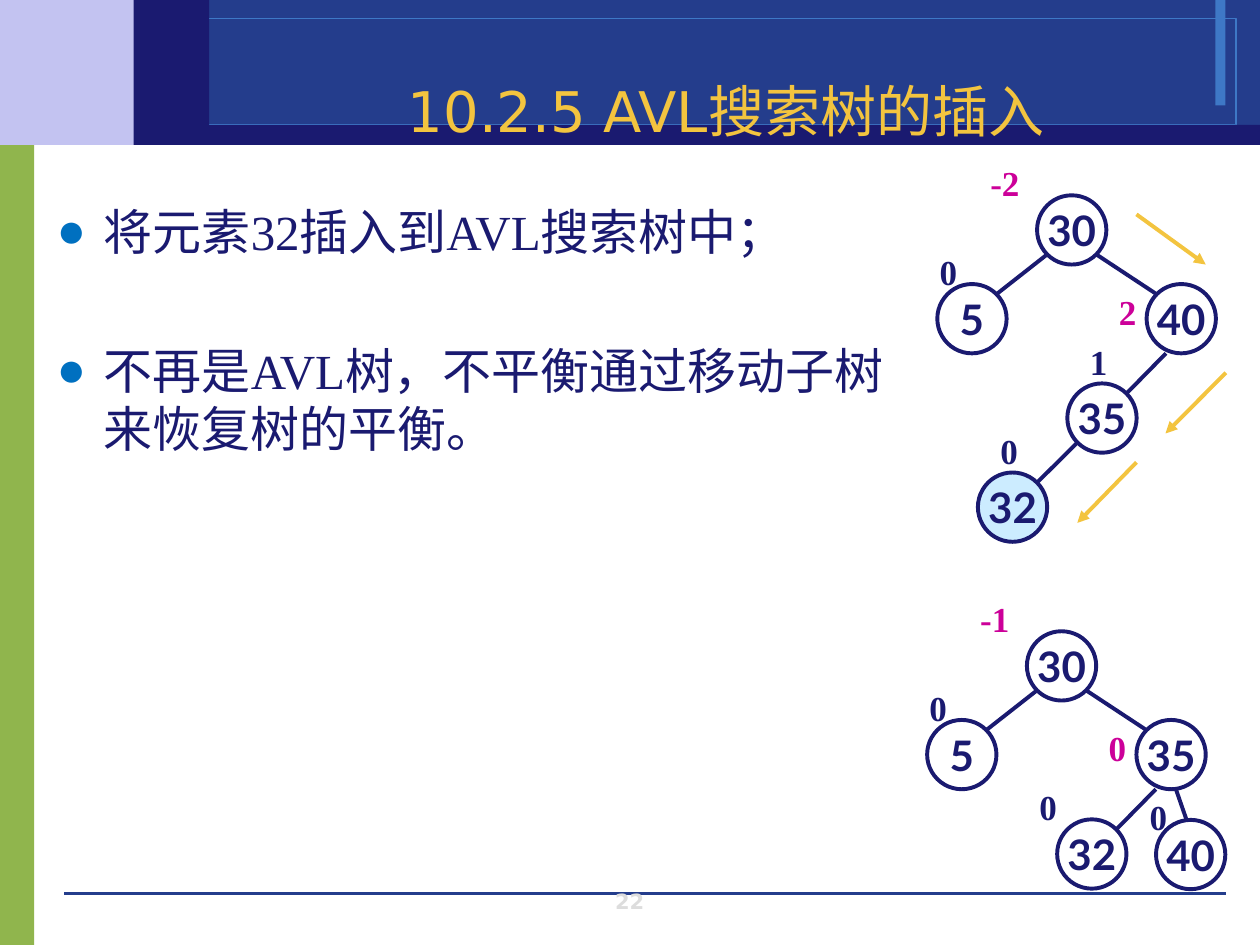
from lxml import etree
from pptx import Presentation
from pptx.dml.color import RGBColor
from pptx.enum.shapes import MSO_CONNECTOR, MSO_SHAPE
from pptx.enum.text import MSO_ANCHOR, MSO_AUTO_SIZE, PP_ALIGN
from pptx.oxml.ns import qn
from pptx.util import Pt

RECTANGLE, OVAL = MSO_SHAPE.RECTANGLE, MSO_SHAPE.OVAL
STRAIGHT = MSO_CONNECTOR.STRAIGHT
LEFT, CENTER = PP_ALIGN.LEFT, PP_ALIGN.CENTER
TOP, MIDDLE, BOTTOM = MSO_ANCHOR.TOP, MSO_ANCHOR.MIDDLE, MSO_ANCHOR.BOTTOM
NO_AUTOFIT = MSO_AUTO_SIZE.NONE


class Theme:
    navy, blue, sky = "1A1A70", "243D8C", "3E78C6"
    lilac, green, gold = "C3C3F1", "90B54D", "F3C43F"
    bullet, magenta, inserted, number = "0070C0", "CC0099", "CCECFF", "DDDDDD"
    sans, serif, node_font = "DejaVu Sans", "Times New Roman", "Lato"
    title_size, body_size, node_size, label_size, number_size = 32, 28, 24, 20, 12
    stroke, hairline = 2.25, 0


# Content
TITLE = "10.2.5 AVL搜索树的插入"
BULLETS = ["将元素32插入到AVL搜索树中；", "不再是AVL树，不平衡通过移动子树来恢复树的平衡。"]
SLIDE_NUMBER = "22"

# Background blocks: left, top, width, height, fill, line
BLOCKS = [
    (0, 77, 19.5, 463, Theme.green, None),
    (0, 0, 110, 82.8, Theme.lilac, None),
    (110, 0, 610, 82.8, Theme.blue, None),
    (694.5, 0, 5.8, 60.2, Theme.sky, None),
    (86, 10.5, 620.3, 61, None, Theme.sky),
    (93.6, 71.4, 626.4, 11.5, Theme.navy, None),
    (76.4, 0, 43.2, 82.8, Theme.navy, None),
]

# Points on a node circle, as fractions of its diameter
UPPER_LEFT, UPPER_RIGHT = (0.15, 0.15), (0.85, 0.15)
LOWER_LEFT, LOWER_RIGHT = (0.15, 0.85), (0.85, 0.85)
BASE_LEFT, BASE_RIGHT, CROWN = (0.28, 1), (0.57, 1), (0.44, 0)

NODE_DIAMETER = 39.6
LABEL_HEIGHT = 31
LEFT_CHILD, RIGHT_CHILD, GRANDCHILD = (-57, 50.7), (62.6, 50.7), (17.3, 107.5)
ABOVE_ROOT, ABOVE_LEAF, BESIDE, ABOVE_RIGHT = (-33.8, -23), (-5.8, -22.5), (-23, 0), (5.8, -28.2)

# Nodes: key, offset from root, balance factor, label offset from node, label colour, fill
# Edges: parent, point on parent, child, point on child
TREES = [
    {
        "root": (592.6, 111.6),
        "nodes": [
            ("30", (0, 0), "-2", ABOVE_ROOT, Theme.magenta, None),
            ("5", LEFT_CHILD, "0", ABOVE_LEAF, Theme.navy, None),
            ("40", RIGHT_CHILD, "2", BESIDE, Theme.magenta, None),
            ("35", GRANDCHILD, "1", ABOVE_RIGHT, Theme.navy, None),
            ("32", (-33.8, 158.4), "0", ABOVE_RIGHT, Theme.navy, Theme.inserted),
        ],
        "edges": [
            ("30", LOWER_LEFT, "5", UPPER_RIGHT),
            ("30", LOWER_RIGHT, "40", UPPER_LEFT),
            ("40", BASE_LEFT, "35", UPPER_RIGHT),
            ("35", LOWER_LEFT, "32", UPPER_RIGHT),
        ],
    },
    {
        "root": (586.8, 360.7),
        "nodes": [
            ("30", (0, 0), "-1", ABOVE_ROOT, Theme.magenta, None),
            ("5", LEFT_CHILD, "0", ABOVE_LEAF, Theme.navy, None),
            ("35", RIGHT_CHILD, "0", BESIDE, Theme.magenta, None),
            ("32", GRANDCHILD, "0", (-17.3, -23), Theme.navy, None),
            ("40", (73.8, 107.8), "0", (-10.8, -17.3), Theme.navy, None),
        ],
        "edges": [
            ("30", LOWER_LEFT, "5", UPPER_RIGHT),
            ("30", LOWER_RIGHT, "35", UPPER_LEFT),
            ("35", BASE_LEFT, "32", UPPER_RIGHT),
            ("35", BASE_RIGHT, "40", CROWN),
        ],
    },
]

# Arrows that follow the insertion path: start, end
PATH_ARROWS = [
    ((649.4, 122.5), (689, 151.2)),
    ((700.5, 213), (666, 247.7)),
    ((649.4, 264.2), (615.6, 298.8)),
]


def color(value):
    return RGBColor.from_string(value)


def write(shape, paragraphs, font, size, ink, bold=False, align=LEFT, anchor=TOP, wrap=True):
    frame = shape.text_frame
    frame.text = "\n".join(paragraphs)
    frame.word_wrap = wrap
    frame.auto_size = NO_AUTOFIT
    frame.vertical_anchor = anchor
    for paragraph in frame.paragraphs:
        paragraph.alignment = align
        for run in paragraph.runs:
            run.font.name, run.font.size, run.font.bold = font, Pt(size), bold
            run.font.color.rgb = color(ink)


def place(shape, left, top, width, height):
    shape.left, shape.top, shape.width, shape.height = Pt(left), Pt(top), Pt(width), Pt(height)


def add_block(slide, kind, box, fill, line, line_width):
    shape = slide.shapes.add_shape(kind, *map(Pt, box))
    shape.shadow.inherit = False
    if fill:
        shape.fill.solid()
        shape.fill.fore_color.rgb = color(fill)
    else:
        shape.fill.background()
    if line:
        shape.line.color.rgb = color(line)
        shape.line.width = Pt(line_width)
    else:
        shape.line.fill.background()
    return shape


def add_line(slide, start, end, ink, width, arrow=False):
    connector = slide.shapes.add_connector(STRAIGHT, *map(Pt, (*start, *end)))
    connector.line.color.rgb = color(ink)
    connector.line.width = Pt(width)
    if arrow:
        etree.SubElement(connector.line._get_or_add_ln(), qn("a:tailEnd"), type="triangle")
    etree.SubElement(connector.element.spPr, qn("a:effectLst"))


def add_bullet(paragraph):
    properties = paragraph._p.get_or_add_pPr()
    properties.set("marL", str(Pt(27)))
    properties.set("indent", str(Pt(-27)))
    bullet_color = etree.SubElement(properties, qn("a:buClr"))
    etree.SubElement(bullet_color, qn("a:srgbClr"), val=Theme.bullet)
    etree.SubElement(properties, qn("a:buChar"), char="●")


def add_tree(slide, tree):
    root_left, root_top = tree["root"]
    positions = {}
    for key, (dx, dy), balance, (label_dx, label_dy), ink, fill in tree["nodes"]:
        left, top = positions[key] = root_left + dx, root_top + dy
        box = (left, top, NODE_DIAMETER, NODE_DIAMETER)
        node = add_block(slide, OVAL, box, fill, Theme.navy, Theme.stroke)
        write(node, [key], Theme.node_font, Theme.node_size, Theme.navy, True, CENTER, MIDDLE, False)
        label_width = 22.3 if len(balance) == 1 else 39.6
        label = slide.shapes.add_textbox(
            Pt(left + label_dx), Pt(top + label_dy), Pt(label_width), Pt(LABEL_HEIGHT))
        write(label, [balance], Theme.serif, Theme.label_size, ink, True)
    for parent, parent_point, child, child_point in tree["edges"]:
        start, end = (
            [origin + fraction * NODE_DIAMETER for origin, fraction in zip(positions[key], point)]
            for key, point in ((parent, parent_point), (child, child_point)))
        add_line(slide, start, end, Theme.navy, Theme.stroke)


def main():
    presentation = Presentation()
    presentation.slide_width, presentation.slide_height = Pt(720), Pt(540)
    slide = presentation.slides.add_slide(presentation.slide_layouts[1])
    title, body = slide.placeholders

    # Background and footer
    for *box, fill, line in BLOCKS:
        add_block(slide, RECTANGLE, box, fill, line, Theme.hairline)
    add_line(slide, (36.7, 510.5), (700.5, 510.5), Theme.blue, Theme.hairline)
    footer = slide.shapes.add_textbox(Pt(275.8), Pt(507.6), Pt(168), Pt(18))
    write(footer, [SLIDE_NUMBER], Theme.sans, Theme.number_size, Theme.number, True, CENTER, BOTTOM)

    # Title and body, in front of the background
    for placeholder in (title, body):
        placeholder.element.getparent().append(placeholder.element)
    place(title, 110, 31.7, 610, 54)
    write(title, [TITLE], Theme.sans, Theme.title_size, Theme.gold, align=CENTER, anchor=BOTTOM)
    place(body, 25.2, 111.6, 504.7, 408)
    write(body, BULLETS, Theme.serif, Theme.body_size, Theme.navy)
    for index, paragraph in enumerate(body.text_frame.paragraphs):
        add_bullet(paragraph)
        paragraph.space_before = Pt(45.5 if index else 0)

    # Trees before and after rebalancing
    for tree in TREES:
        add_tree(slide, tree)
    for start, end in PATH_ARROWS:
        add_line(slide, start, end, Theme.gold, Theme.stroke, arrow=True)

    presentation.save("out.pptx")


if __name__ == "__main__":
    main()
